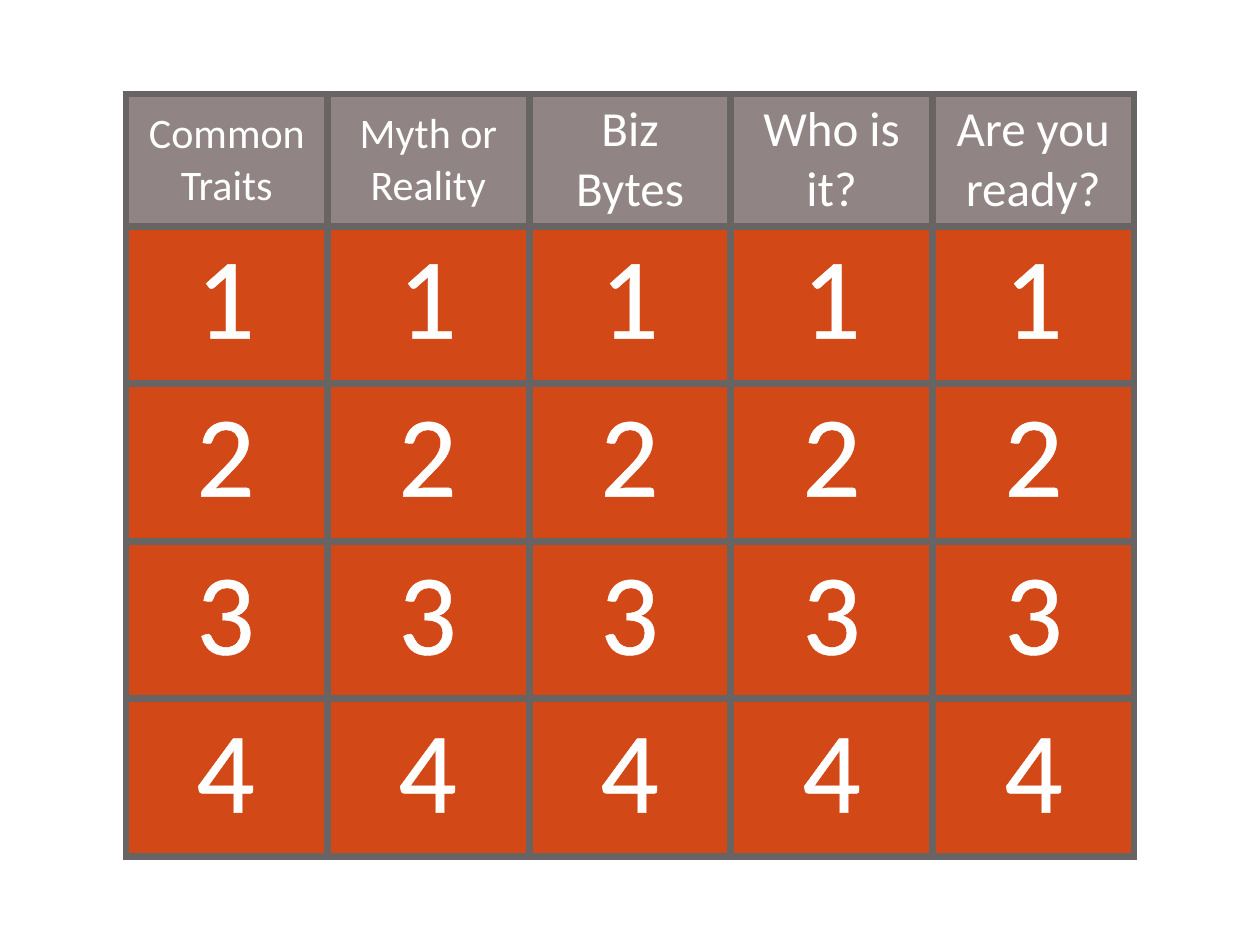
from lxml import etree
from pptx import Presentation
from pptx import util as u
from pptx.dml.color import RGBColor
from pptx.enum import text
from pptx.oxml import ns

FONT = "Calibri"
WHITE, GREY, TAUPE, ORANGE = "FFFFFF", "696464", "918485", "D34817"
CATEGORIES = [
    ("Common Traits", 24),
    ("Myth or Reality", 24),
    ("Biz\vBytes", 28),
    ("Who is it?", 28),
    ("Are you ready?", 28),
]
LEVELS = ["1", "2", "3", "4"]


def px(n):
    return u.Emu(round(n * 914400 / 126))


def paint(color, value):
    color.rgb = RGBColor.from_string(value)


def make_line(tag, color, width):
    ln = etree.Element(ns.qn(tag), w=str(u.Pt(width)))
    fill = etree.SubElement(ln, ns.qn("a:solidFill"))
    etree.SubElement(fill, ns.qn("a:srgbClr"), val=color)
    return ln


def style_text(tf, size):
    for p in tf.paragraphs:
        p.alignment = text.PP_ALIGN.CENTER
        for r in p.runs:
            r.font.name = FONT
            r.font.size = u.Pt(size)
            paint(r.font.color, WHITE)


def style_cell(cell, color):
    cell.fill.solid()
    paint(cell.fill.fore_color, color)
    cell.vertical_anchor = text.MSO_ANCHOR.MIDDLE
    tc_pr = cell._tc.get_or_add_tcPr()
    for i, side in enumerate(("a:lnL", "a:lnR", "a:lnT", "a:lnB")):
        tc_pr.insert(i, make_line(side, GREY, 4.5))


def add_board(s, x, y, w, h, header_h):
    rows, cols = len(LEVELS) + 1, len(CATEGORIES)
    table = s.shapes.add_table(rows, cols, px(x), px(y), px(w), px(h)).table
    table.first_row = table.horz_banding = False
    for col in table.columns:
        col.width = px(w / cols)
    for i, row in enumerate(table.rows):
        row.height = px((h - header_h) / len(LEVELS) if i else header_h)
        for cell in row.cells:
            style_cell(cell, ORANGE if i else TAUPE)
    for cell, (name, size) in zip(table.rows[0].cells, CATEGORIES):
        cell.text_frame.text = name
        style_text(cell.text_frame, size)


def add_number(s, x, y, w, h, label):
    tf = s.shapes.add_textbox(px(x), px(y), px(w), px(h)).text_frame
    tf.word_wrap = True
    tf.vertical_anchor = text.MSO_ANCHOR.MIDDLE
    tf.text = label
    style_text(tf, 66)
    r = tf.paragraphs[0].runs[0]
    r._r.get_or_add_rPr().insert(0, make_line("a:ln", WHITE, 1.45))


def add_numbers(s, x, y, w, h, gap_x, gap_y):
    for i, label in enumerate(LEVELS):
        for j in range(len(CATEGORIES)):
            add_number(s, x + j * (w + gap_x), y + i * (h + gap_y), w, h, label)


def main():
    prs = Presentation()
    prs.slide_width, prs.slide_height = px(1260), px(945)
    s = prs.slides.add_slide(prs.slide_layouts[6])
    add_board(s, 126, 94, 1008, 760, 130)
    add_numbers(s, 126, 219, 199, 147, 3, 11)
    prs.save("out.pptx")


if __name__ == "__main__":
    main()
